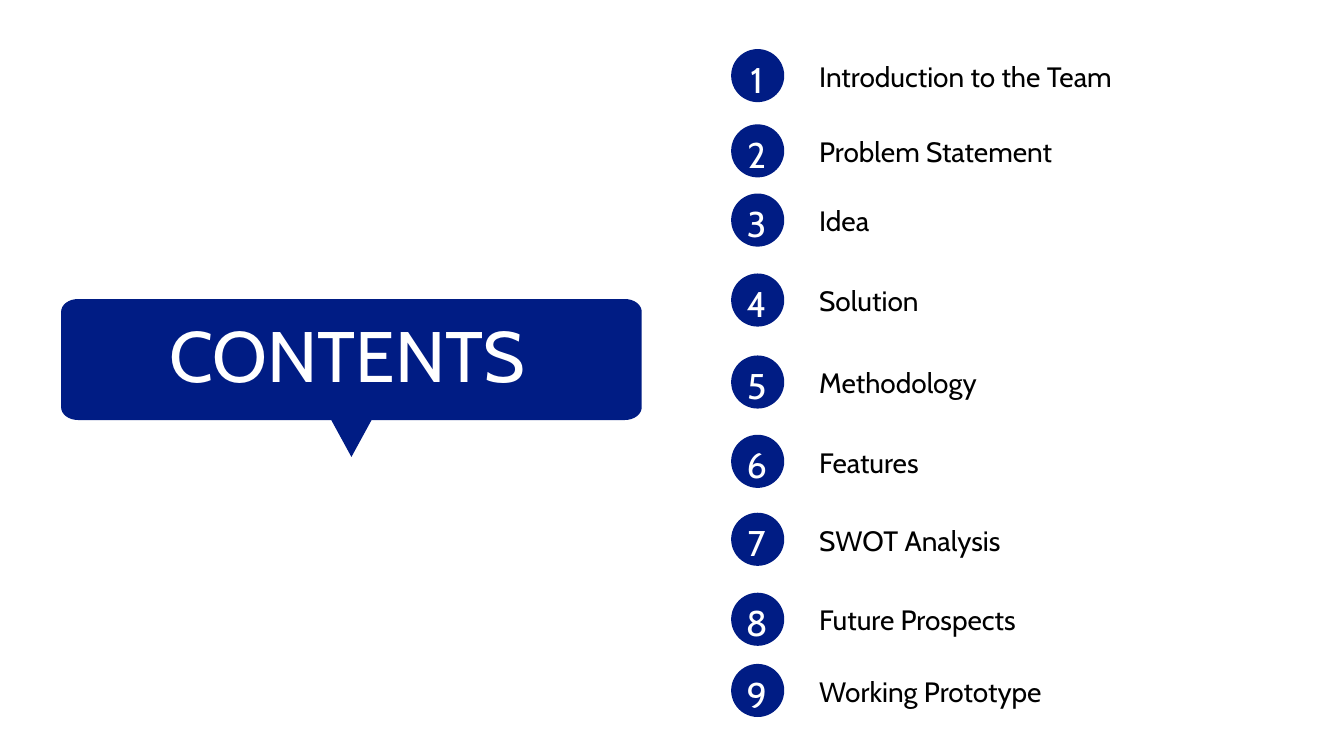
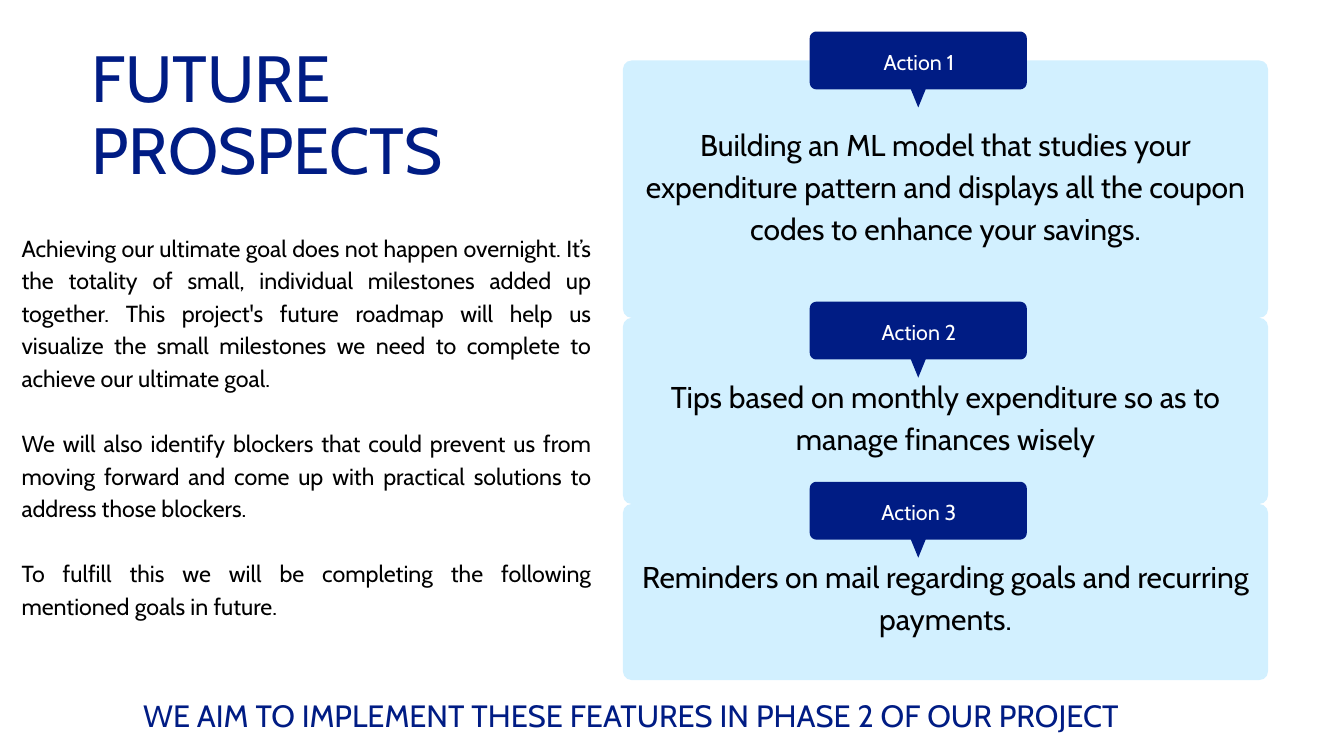
from collections import namedtuple
from dataclasses import dataclass
from math import cos, pi, sin

from pptx import Presentation
from pptx.dml.color import RGBColor
from pptx.enum.shapes import MSO_SHAPE
from pptx.enum.text import MSO_ANCHOR, MSO_AUTO_SIZE, PP_ALIGN
from pptx.util import Inches, Pt

OVAL, ROUND = MSO_SHAPE.OVAL, MSO_SHAPE.ROUNDED_RECTANGLE
LEFT, MID, FULL = PP_ALIGN.LEFT, PP_ALIGN.CENTER, PP_ALIGN.JUSTIFY
TOP, FIXED = MSO_ANCHOR.TOP, MSO_AUTO_SIZE.NONE
TITLE_ONLY = 5

Box = namedtuple("Box", "x y w h")
Type = namedtuple("Type", "size line color align")  # size and line in points


@dataclass(frozen=True)
class Theme:
    navy = RGBColor.from_string("001C84")
    pale = RGBColor.from_string("D2F0FF")
    white = RGBColor.from_string("FFFFFF")
    black = RGBColor.from_string("000000")
    font = "Cabin"
    banner = Type(76.5, 84.2, white, MID)
    title = Type(70, 77, navy, LEFT)
    number = Type(38.2, 53.5, white, MID)
    topic = Type(30, 42, black, LEFT)
    prose = Type(24.9, 34.9, black, FULL)
    tag = Type(23, 32.2, white, MID)
    action = Type(32.2, 45, black, MID)
    footer = Type(33, 36.3, navy, LEFT)


THEME = Theme()

# Topic and top of its row
TOPICS = [
    ("Introduction to the Team", 0.73), ("Problem Statement", 1.85),
    ("Idea", 2.88), ("Solution", 4.07), ("Methodology", 5.29),
    ("Features", 6.47), ("SWOT Analysis", 7.63),
    ("Future Prospects", 8.82), ("Working Prototype", 9.88),
]

PROSE = [
    "Achieving our ultimate goal does not happen overnight. It’s the totality "
    "of small, individual milestones added up together. This project's future "
    "roadmap will help us visualize the small milestones we need to complete "
    "to achieve our ultimate goal.",
    "We will also identify blockers that could prevent us from moving forward "
    "and come up with practical solutions to address those blockers.",
    "To fulfill this we will be completing the following mentioned goals in "
    "future.",
]

# Card top and height, rise of the tag above the card, drop of the text, text
ACTIONS = [
    (0.9, 3.83, 0.43, 0.89,
     "Building an ML model that studies your expenditure pattern and displays "
     "all the coupon codes to enhance your savings."),
    (4.73, 2.77, 0.24, 0.81,
     "Tips based on monthly expenditure so as to manage finances wisely"),
    (7.5, 2.62, 0.33, 0.72,
     "Reminders on mail regarding goals and recurring payments."),
]


def inch(box):
    return [Inches(v) for v in box]


def write(shape, lines, style, gap=0):
    frame = shape.text_frame
    frame.word_wrap, frame.auto_size = True, FIXED
    frame.vertical_anchor = TOP
    frame.margin_left = frame.margin_right = 0
    frame.margin_top = frame.margin_bottom = 0
    for i, line in enumerate(lines):
        para = frame.add_paragraph() if i else frame.paragraphs[0]
        para.text = line
        para.alignment = style.align
        para.line_spacing = Pt(style.line)
        para.space_before = Pt(gap if i else 0)
        para.font.name, para.font.size = THEME.font, Pt(style.size)
        para.font.color.rgb = style.color


def label(slide, box, text, style):
    write(slide.shapes.add_textbox(*inch(box)), [text], style)


def paint(shape, color):
    shape.shadow.inherit = False
    shape.fill.solid()
    shape.fill.fore_color.rgb = color
    shape.line.fill.background()
    return shape


def head(slide, box, text, style):
    title = slide.shapes.title
    title.left, title.top, title.width, title.height = inch(box)
    write(title, [text], style)
    return title


def bubble(slide, box, curve, tail):
    """Rounded callout; curve is the corner size, tail its half width and height."""
    (rx, ry), (half, drop) = curve, tail
    x, y, w, h = box
    base, mid = y + h - drop, x + w / 2
    # Corners run clockwise from the lower left one
    hubs = [(x + rx, base - ry), (x + rx, y + ry),
            (x + w - rx, y + ry), (x + w - rx, base - ry)]
    dots = []
    for i, (cx, cy) in enumerate(hubs):
        for step in range(9):
            turn = pi / 2 * (1 + i + step / 8)
            dots.append((cx + rx * cos(turn), cy + ry * sin(turn)))
    dots += [(mid + half, base), (mid, y + h), (mid - half, base)]
    dots = [inch(dot) for dot in dots]
    path = slide.shapes.build_freeform(*dots[0])
    path.add_line_segments(dots[1:], close=True)
    return paint(path.convert_to_shape(), THEME.navy)


def topic(slide, box, num, text):
    x, y, w, h = box
    paint(slide.shapes.add_shape(OVAL, *inch((x, y, h, h))), THEME.navy)
    label(slide, Box(x + 0.13, y + 0.02, 0.5, 0.7), str(num), THEME.number)
    label(slide, Box(x + 1.31, y + 0.07, w - 1.31, 0.57), text, THEME.topic)


def banner(slide, box, text):
    shape = bubble(slide, box, (0.25, 0.19), (0.3, 0.55))
    spot = Box(box.x + 1.28, box.y + 0.29, 5.97, 1.22)
    title = head(slide, spot, text, THEME.banner)
    shape.element.addnext(title.element)  # title in front of its bubble


def action(slide, box, num, rise, drop, text):
    x, y, w, h = box
    # Card
    card = paint(slide.shapes.add_shape(ROUND, *inch(box)), THEME.pale)
    card.adjustments[0] = 0.13 / h
    # Tag
    tag = Box(x + 2.78, y - rise, 3.23, 1.13)
    bubble(slide, tag, (0.1, 0.1), (0.11, 0.27))
    label(slide, Box(tag.x + 0.47, tag.y + 0.19, 2.31, 0.41),
          f"Action {num}", THEME.tag)
    # Text
    label(slide, Box(x, y + drop, w, 1.85), text, THEME.action)


def contents(slide):
    banner(slide, Box(0.91, 4.45, 8.64, 2.35), "CONTENTS")
    for num, (text, top) in enumerate(TOPICS, 1):
        topic(slide, Box(10.88, top, 6.95, 0.79), num, text)


def future(slide):
    head(slide, Box(1.36, 0.65, 6.38, 2.16), "FUTURE PROSPECTS", THEME.title)
    prose = slide.shapes.add_textbox(*inch(Box(0.32, 3.41, 8.48, 5.73)))
    write(prose, PROSE, THEME.prose, gap=THEME.prose.line)
    for num, (top, high, rise, drop, text) in enumerate(ACTIONS, 1):
        action(slide, Box(9.27, top, 9.6, high), num, rise, drop, text)
    label(slide, Box(2.13, 10.41, 17.5, 0.52),
          "WE AIM TO IMPLEMENT THESE FEATURES IN PHASE 2 OF OUR PROJECT",
          THEME.footer)


def main():
    deck = Presentation()
    deck.slide_width, deck.slide_height = Inches(20), Inches(11.25)
    for build in (contents, future):
        build(deck.slides.add_slide(deck.slide_layouts[TITLE_ONLY]))
    deck.save("out.pptx")


if __name__ == "__main__":
    main()
